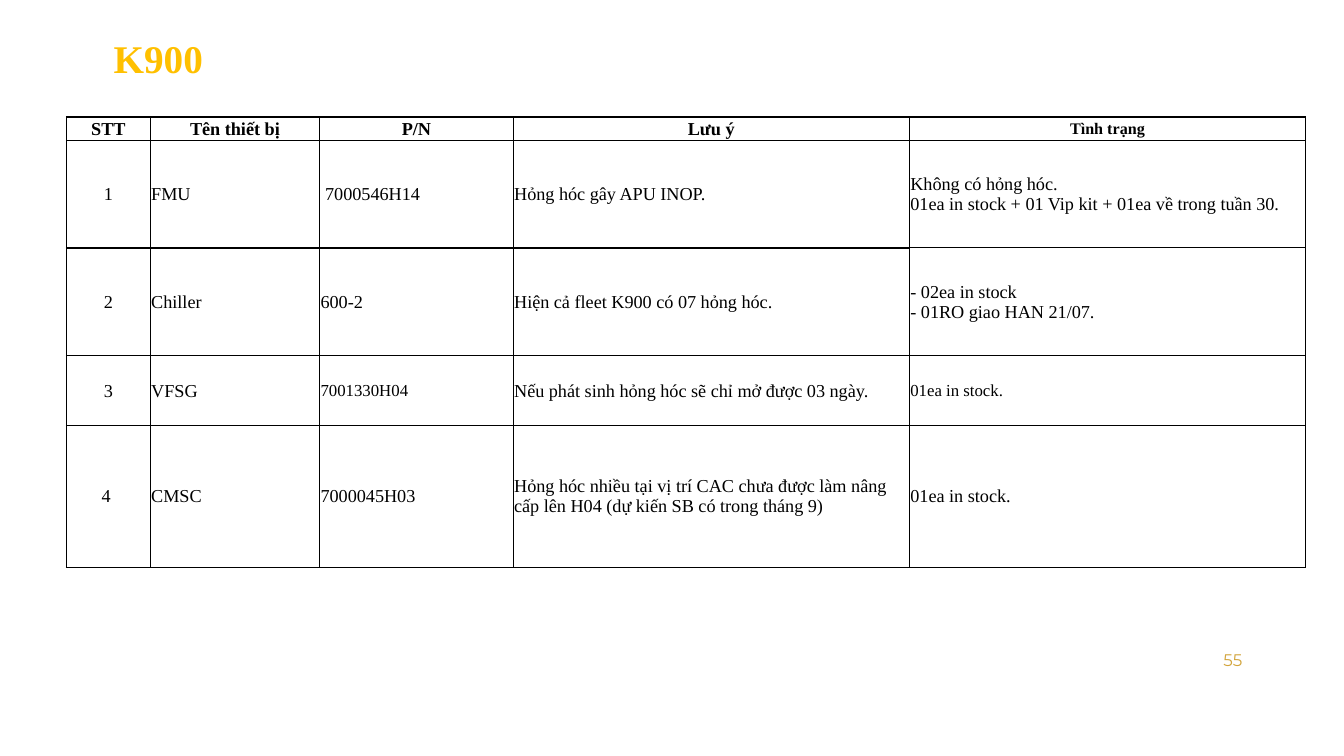
import dataclasses

import lxml.etree
import pptx
import pptx.dml.color
import pptx.enum.text
import pptx.oxml.ns
import pptx.util

Inches = pptx.util.Inches
ALIGN = pptx.enum.text.PP_ALIGN
MIDDLE = pptx.enum.text.MSO_ANCHOR.MIDDLE


@dataclasses.dataclass(frozen=True)
class Theme:
    """Colours, fonts, type sizes and line widths of the slide."""
    title: str = "FFC000"
    number: str = "D2A43B"
    ink: str = "000000"
    serif: str = "Times New Roman"
    sans: str = "Montserrat"
    title_size: float = 28
    body_size: float = 13
    small_size: float = 12
    status_size: float = 11.5
    line: float = 1
    thin_line: float = 0.75


THEME = Theme()
COLUMNS = (0.83, 1.68, 1.92, 3.93, 3.93)
ROWS = (0.3, 0.23, 1.07, 1.07, 0.69, 1.41)
STATUS = len(COLUMNS) - 1
HEADER = ("STT", "Tên thiết bị", "P/N", "Lưu ý", "Tình trạng")
DEVICES = (
    ("1", "FMU", "\u00a07000546H14".replace("\u00a0", " "), "Hỏng hóc gây APU INOP.",
     "Không có hỏng hóc.\n01ea in stock + 01 Vip kit + 01ea về trong tuần 30."),
    ("2", "Chiller", "600-2", "Hiện cả fleet K900 có 07 hỏng hóc.",
     "- 02ea in stock\n- 01RO giao HAN 21/07."),
    ("3", "VFSG", "7001330H04", "Nếu phát sinh hỏng hóc sẽ chỉ mở được 03 ngày.",
     "01ea in stock."),
    ("4 ", "CMSC", "7000045H03",
     "Hỏng hóc nhiều tại vị trí CAC chưa được làm nâng cấp lên H04 (dự kiến SB có trong tháng 9)",
     "01ea in stock."),
)
SIZES = {(0, 4): THEME.status_size, (3, 2): THEME.small_size, (3, 4): THEME.small_size}


def write(frame, text, size, color, font, bold=False, align=ALIGN.LEFT):
    """Write each line of the text as a paragraph with one run."""
    for index, line in enumerate(text.split("\n")):
        para = frame.add_paragraph() if index else frame.paragraphs[0]
        para.alignment = align
        span = para.add_run()
        span.text = line
        span.font.size = pptx.util.Pt(size)
        span.font.name = font
        span.font.bold = bold
        span.font.color.rgb = pptx.dml.color.RGBColor.from_string(color)


def add_label(page, box, text, size, color, font, bold=False, align=ALIGN.LEFT):
    """Place a vertically centred text box."""
    frame = page.shapes.add_textbox(*map(Inches, box)).text_frame
    frame.word_wrap = True
    frame.vertical_anchor = MIDDLE
    write(frame, text, size, color, font, bold, align)


def add_borders(cell, widths):
    """Draw the given sides (L, R, T, B) of a cell, widths in points."""
    properties = cell._tc.get_or_add_tcPr()
    for side, width in widths.items():
        edge = lxml.etree.SubElement(properties, pptx.oxml.ns.qn(f"a:ln{side}"),
                                     w=str(pptx.util.Pt(width)))
        fill = lxml.etree.SubElement(edge, pptx.oxml.ns.qn("a:solidFill"))
        lxml.etree.SubElement(fill, pptx.oxml.ns.qn("a:srgbClr"), val=THEME.ink)


def border_widths(row, column):
    """Give the widths of a cell's sides, thinner around the status entries."""
    status = THEME.thin_line if column == STATUS else THEME.line
    divider = THEME.thin_line if row and column >= STATUS - 1 else THEME.line
    return {
        "L": divider if column == STATUS else THEME.line,
        "R": divider if column == STATUS - 1 else THEME.line,
        "T": status if row > 1 else THEME.line,
        "B": status if row else THEME.line,
    }


def add_device_table(page, box):
    """Place the device table beneath an empty merged row."""
    table = page.shapes.add_table(len(ROWS), len(COLUMNS), *map(Inches, box)).table
    table.first_row = table.horz_banding = False
    for column, width in zip(table.columns, COLUMNS):
        column.width = Inches(width)
    for row, height in zip(table.rows, ROWS):
        row.height = Inches(height)
    for column in range(len(COLUMNS)):
        spacer = table.cell(0, column)
        add_borders(spacer, {"B": THEME.line})
        spacer.fill.background()
    table.cell(0, 0).merge(table.cell(0, STATUS))
    table.cell(0, 0).text_frame.paragraphs[0].font.size = pptx.util.Pt(THEME.small_size)
    for row, entries in enumerate((HEADER,) + DEVICES):
        for column, text in enumerate(entries):
            cell = table.cell(row + 1, column)
            cell.margin_left = cell.margin_right = cell.margin_top = Inches(0.01)
            cell.margin_bottom = 0
            cell.vertical_anchor = MIDDLE
            add_borders(cell, border_widths(row, column))
            cell.fill.background()
            centred = row == 0 or column == 0
            write(cell.text_frame, text, SIZES.get((row, column), THEME.body_size),
                  THEME.ink, THEME.serif, row == 0, ALIGN.CENTER if centred else ALIGN.LEFT)


def build_device_page(deck):
    """Build the slide with its title, device table and page number."""
    page = deck.slides.add_slide(deck.slide_layouts[6])
    add_label(page, (1.03, 0.18, 11.66, 0.78), "K900", THEME.title_size,
              THEME.title, THEME.serif, bold=True)
    add_device_table(page, (0.66, 0.86, sum(COLUMNS), sum(ROWS)))
    add_label(page, (9.42, 6.35, 3, 0.4), "55", THEME.small_size,
              THEME.number, THEME.sans, align=ALIGN.RIGHT)


def main():
    """Create and save the deck."""
    deck = pptx.Presentation()
    deck.slide_width = Inches(13.33)
    deck.slide_height = Inches(7.5)
    build_device_page(deck)
    deck.save("out.pptx")


if __name__ == "__main__":
    main()
